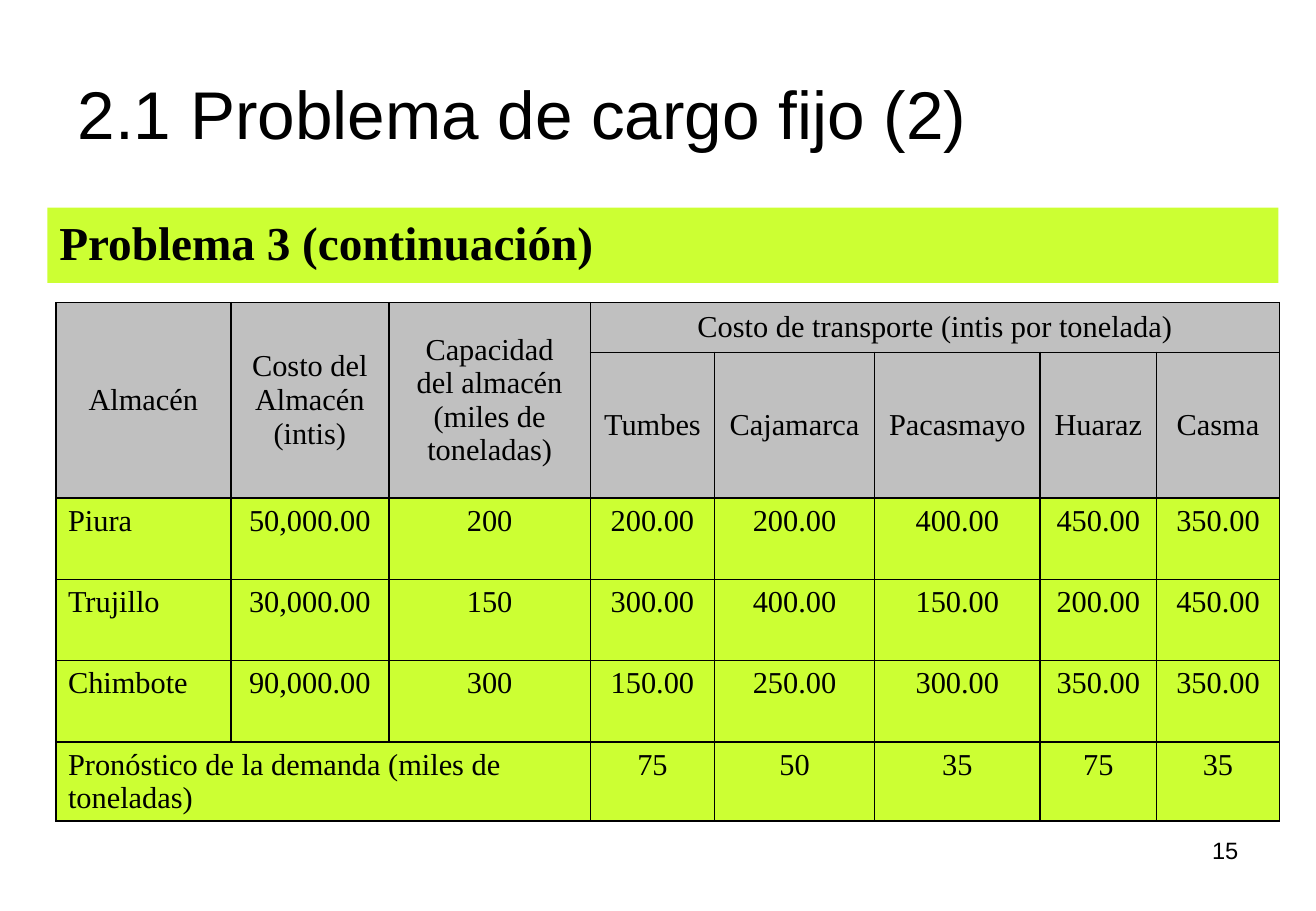
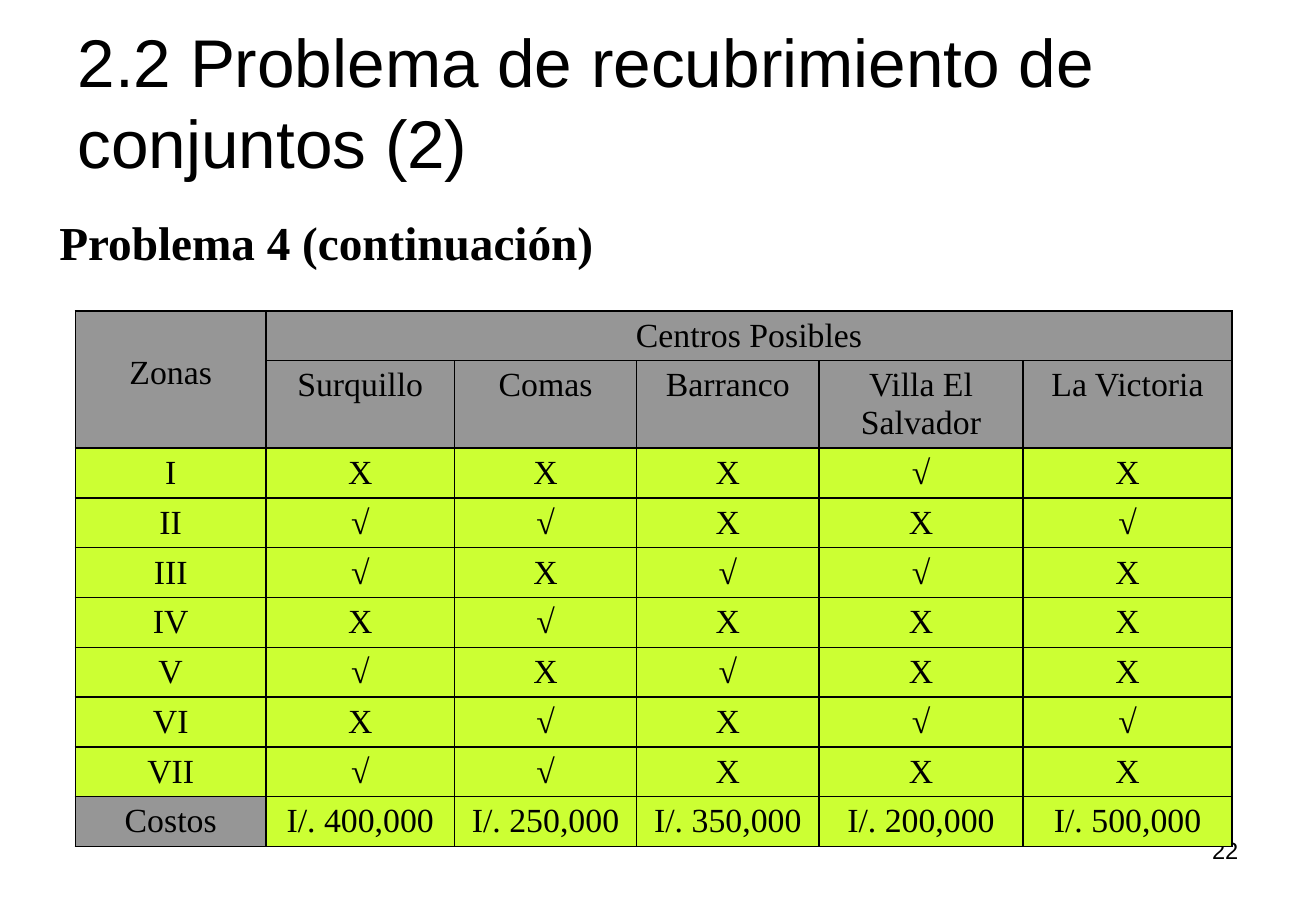
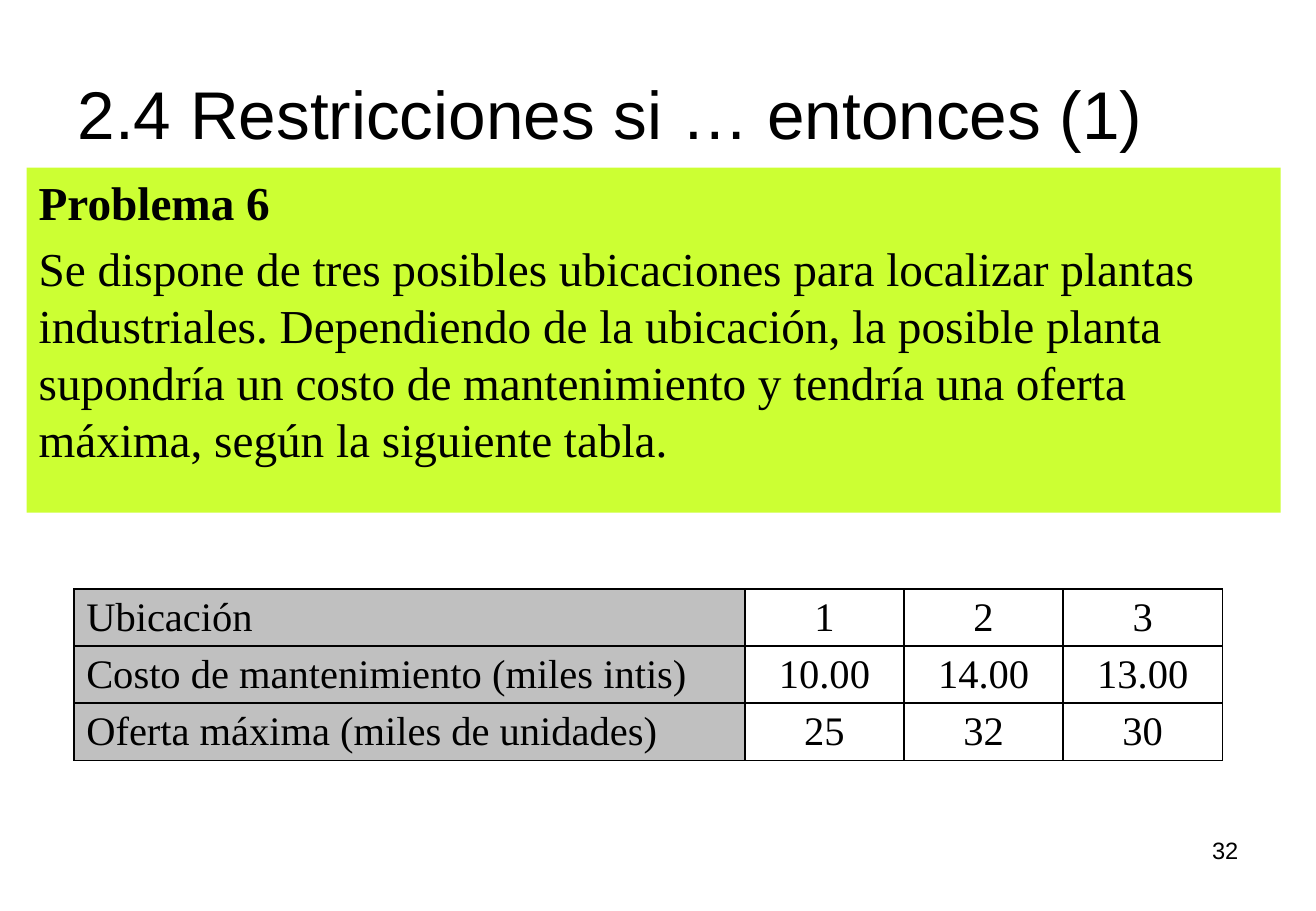
import pptx
import pptx.util
import pptx.dml.color
import pptx.enum.shapes
import pptx.enum.text
import pptx.oxml

Inches = pptx.util.Inches
Pt = pptx.util.Pt
ALIGN = pptx.enum.text.PP_ALIGN
ANCHOR = pptx.enum.text.MSO_ANCHOR

BLACK, WHITE = "000000", "FFFFFF"
LIME, SILVER, GRAY = "CCFF33", "C0C0C0", "969696"
SANS, SERIF = "Arial", "Times New Roman"
NAMESPACE = "http://schemas.openxmlformats.org/drawingml/2006/main"


def color(value):
    return pptx.dml.color.RGBColor.from_string(value)


def write(frame, text, font, size, align=ALIGN.LEFT, anchor=ANCHOR.TOP):
    frame.text = text
    frame.word_wrap = True
    frame.vertical_anchor = anchor
    for para in frame.paragraphs:
        para.alignment = align
        for span in para.runs:
            span.font.name = font
            span.font.size = Pt(size)
            span.font.color.rgb = color(BLACK)


pages = [
    {
        "number": "15",
        "title": "2.1 Problema de cargo fijo (2)",
        "title_place": (0.54, 0.3, 9.75, 1.25),
        "title_anchor": ANCHOR.MIDDLE,
        "body": "Problema 3 (continuación)",
        "body_place": (0.39, 1.71, 10.13, 0.62),
        "body_fill": LIME,
        "table_corner": (0.46, 2.49),
        "columns": [1.44, 1.3, 1.66, 1.02, 1.32, 1.36, 0.96, 1.01],
        "heights": [0.41, 1.2, 0.67, 0.67, 0.67, 0.65],
        "size": 18,
        "head_rows": 2,
        "head_fill": SILVER,
        "head_labels": [],
        "head_anchor": ANCHOR.MIDDLE,
        "cell_fill": LIME,
        "cell_anchor": ANCHOR.TOP,
        "label_align": ALIGN.LEFT,
        "merges": [(0, 0, 1, 0), (0, 1, 1, 1), (0, 2, 1, 2), (0, 3, 0, 7), (5, 0, 5, 2)],
        "rows": [
            ["Almacén", "Costo del\nAlmacén (intis)",
             "Capacidad\ndel almacén\n(miles de toneladas)",
             "Costo de transporte (intis por tonelada)", "", "", "", ""],
            ["", "", "", "Tumbes", "Cajamarca", "Pacasmayo", "Huaraz", "Casma"],
            ["Piura", "50,000.00", "200", "200.00", "200.00", "400.00", "450.00", "350.00"],
            ["Trujillo", "30,000.00", "150", "300.00", "400.00", "150.00", "200.00", "450.00"],
            ["Chimbote", "90,000.00", "300", "150.00", "250.00", "300.00", "350.00", "350.00"],
            ["Pronóstico de la demanda (miles de toneladas)", "", "", "75", "50", "35", "75", "35"],
        ],
    },
    {
        "number": "22",
        "title": "2.2 Problema de recubrimiento de conjuntos (2)",
        "title_place": (0.54, 0.21, 9.74, 1.34),
        "title_anchor": ANCHOR.BOTTOM,
        "body": "Problema 4 (continuación)",
        "body_place": (0.39, 1.71, 10.06, 0.62),
        "body_fill": WHITE,
        "table_corner": (0.62, 2.56),
        "columns": [1.57, 1.55, 1.5, 1.5, 1.68, 1.72],
        "heights": [0.41, 0.72] + [0.41] * 8,
        "size": 20,
        "head_rows": 2,
        "head_fill": GRAY,
        "head_labels": ["Costos"],
        "head_anchor": ANCHOR.TOP,
        "cell_fill": LIME,
        "cell_anchor": ANCHOR.MIDDLE,
        "label_align": ALIGN.CENTER,
        "merges": [(0, 0, 1, 0), (0, 1, 0, 5)],
        "rows": [
            ["Zonas", "Centros Posibles", "", "", "", ""],
            ["", "Surquillo", "Comas", "Barranco", "Villa El Salvador", "La Victoria"],
            ["I", "X", "X", "X", "√", "X"],
            ["II", "√", "√", "X", "X", "√"],
            ["III", "√", "X", "√", "√", "X"],
            ["IV", "X", "√", "X", "X", "X"],
            ["V", "√", "X", "√", "X", "X"],
            ["VI", "X", "√", "X", "√", "√"],
            ["VII", "√", "√", "X", "X", "X"],
            ["Costos", "I/. 400,000", "I/. 250,000", "I/. 350,000", "I/. 200,000", "I/. 500,000"],
        ],
    },
    {
        "number": "32",
        "title": "2.4 Restricciones si … entonces (1)",
        "title_place": (0.54, 0.3, 9.75, 1.25),
        "title_anchor": ANCHOR.MIDDLE,
        "body": "Problema 6\nSe dispone de tres posibles ubicaciones para localizar plantas "
                "industriales. Dependiendo de la ubicación, la posible planta supondría un costo "
                "de mantenimiento y tendría una oferta máxima, según la siguiente tabla.",
        "body_place": (0.22, 1.38, 10.32, 2.84),
        "body_fill": LIME,
        "table_corner": (0.61, 4.85),
        "columns": [5.52, 1.31, 1.31, 1.31],
        "heights": [0.47] * 3,
        "size": 24,
        "head_rows": 0,
        "head_fill": SILVER,
        "head_labels": ["Ubicación", "Costo de mantenimiento (miles intis)",
                        "Oferta máxima (miles de unidades)"],
        "head_anchor": ANCHOR.TOP,
        "cell_fill": None,
        "cell_anchor": ANCHOR.TOP,
        "label_align": ALIGN.LEFT,
        "merges": [],
        "rows": [
            ["Ubicación", "1", "2", "3"],
            ["Costo de mantenimiento (miles intis)", "10.00", "14.00", "13.00"],
            ["Oferta máxima (miles de unidades)", "25", "32", "30"],
        ],
    },
]

deck = pptx.Presentation()
deck.slide_width = Inches(10.83)
deck.slide_height = Inches(7.5)

for content in pages:
    page = deck.slides.add_slide(deck.slide_layouts[6])

    number_box = page.shapes.add_textbox(Inches(7.76), Inches(6.83), Inches(2.53), Inches(0.52))
    write(number_box.text_frame, content["number"], SANS, 14, ALIGN.RIGHT)

    body_box = page.shapes.add_shape(
        pptx.enum.shapes.MSO_SHAPE.RECTANGLE, *map(Inches, content["body_place"]))
    body_box.shadow.inherit = False
    body_box.fill.solid()
    body_box.fill.fore_color.rgb = color(content["body_fill"])
    body_box.line.fill.background()
    write(body_box.text_frame, content["body"], SERIF, 28)
    for para in body_box.text_frame.paragraphs:
        para.space_before = Pt(5.6)
    body_box.text_frame.paragraphs[0].runs[0].font.bold = True

    title_box = page.shapes.add_textbox(*map(Inches, content["title_place"]))
    write(title_box.text_frame, content["title"], SANS, 40, anchor=content["title_anchor"])

    left, top = content["table_corner"]
    columns, heights, rows = content["columns"], content["heights"], content["rows"]
    table = page.shapes.add_table(
        len(rows), len(columns), Inches(left), Inches(top),
        Inches(sum(columns)), Inches(sum(heights))).table
    table.first_row = False
    table.horz_banding = False
    for style in list(table._tbl.tblPr):
        table._tbl.tblPr.remove(style)
    for column, width in zip(table.columns, columns):
        column.width = Inches(width)
    for row, height in zip(table.rows, heights):
        row.height = Inches(height)
    for first_row, first_column, last_row, last_column in content["merges"]:
        table.cell(first_row, first_column).merge(table.cell(last_row, last_column))

    for row_index, texts in enumerate(rows):
        for column_index, text in enumerate(texts):
            cell = table.cell(row_index, column_index)
            in_head = row_index < content["head_rows"]
            properties = cell._tc.get_or_add_tcPr()
            for side in ("lnL", "lnR", "lnT", "lnB"):
                properties.append(pptx.oxml.parse_xml(
                    f'<a:{side} xmlns:a="{NAMESPACE}" w="12700"><a:solidFill>'
                    f'<a:srgbClr val="{BLACK}"/></a:solidFill></a:{side}>'))
            shaded = in_head or text in content["head_labels"]
            fill = content["head_fill"] if shaded else content["cell_fill"]
            if fill:
                cell.fill.solid()
                cell.fill.fore_color.rgb = color(fill)
            else:
                cell.fill.background()
            anchor = content["head_anchor"] if in_head else content["cell_anchor"]
            cell.vertical_anchor = anchor
            cell.margin_top = Inches(0 if anchor == ANCHOR.MIDDLE else 0.05)
            cell.margin_bottom = Inches(0)
            if cell.is_spanned:
                continue
            is_label = column_index == 0 and not in_head
            write(cell.text_frame, text, SERIF, content["size"],
                  content["label_align"] if is_label else ALIGN.CENTER)
            cell.vertical_anchor = anchor
            if text == "Zonas":
                cell.margin_top = Inches(0.36)

deck.save("out.pptx")
